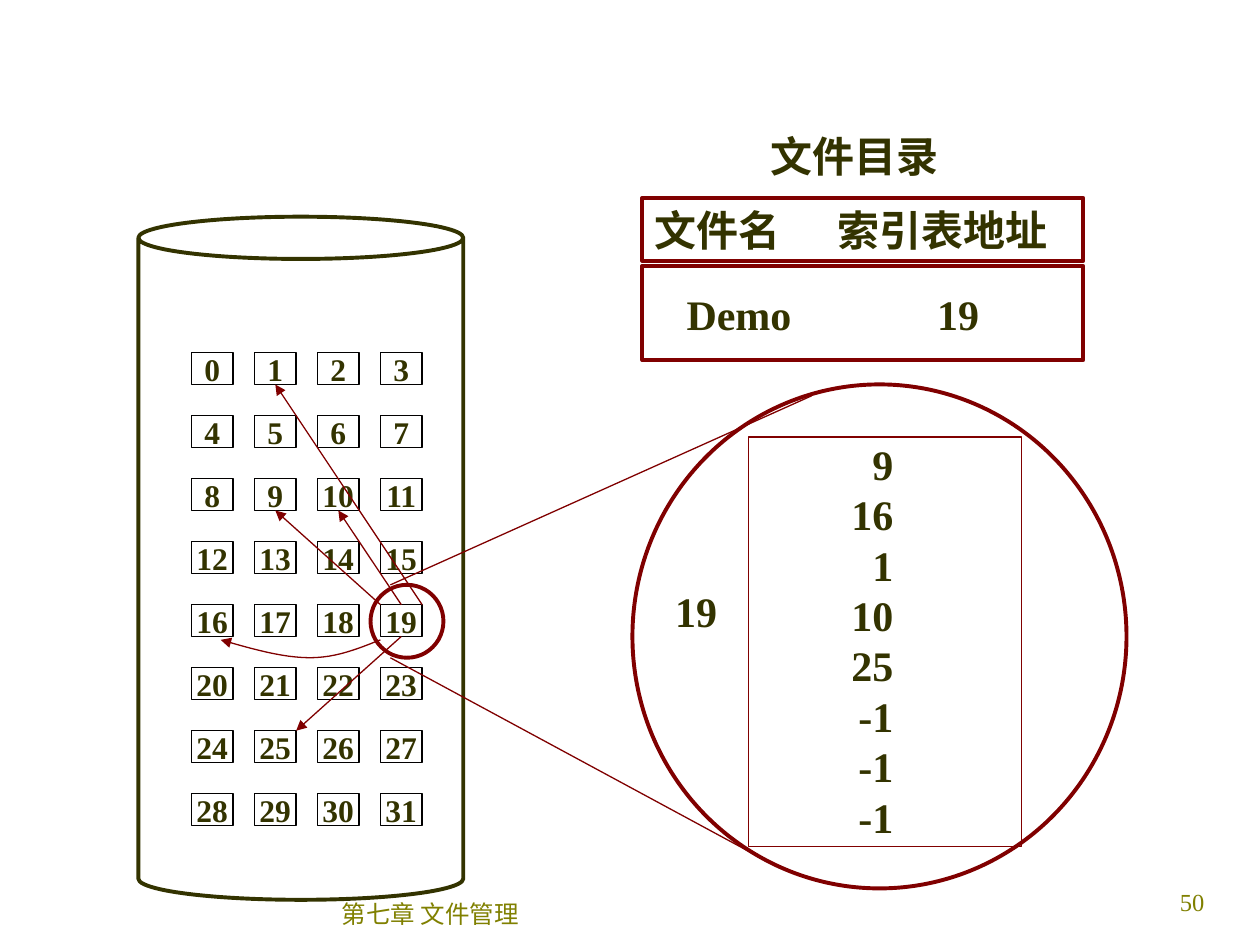
from pptx import Presentation
from pptx.dml.color import RGBColor
from pptx.enum.shapes import MSO_CONNECTOR, MSO_SHAPE
from pptx.enum.text import MSO_ANCHOR, PP_ALIGN
from pptx.oxml.ns import qn
from pptx.util import Cm, Pt
from lxml.etree import SubElement

DARK, RED, OLIVE, BLACK = "333300", "800000", "808000", "010000"
GRID_LEFT, GRID_TOP, GRID_STEP = 3.86, 7.11, 1.27
BLOCK_WIDTH, BLOCK_HEIGHT = 0.84, 0.64
COLUMNS, BLOCK_COUNT = 4, 32
INDEX_BLOCK = 19
INDEX_ENTRIES = ["9", "16", "1", "10", "25", "-1", "-1", "-1"]


def color(value):
    """Return the colour for a hex string."""
    return RGBColor.from_string(value)


def write_text(shape, text, size=24, bold=True, ink=DARK, font="Times New Roman",
               align=PP_ALIGN.LEFT, anchor=MSO_ANCHOR.TOP, wrap=True, tab=None, spacing=None):
    """Write one paragraph per line of text into a shape."""
    frame = shape.text_frame
    frame.word_wrap = wrap
    frame.vertical_anchor = anchor
    for number, line in enumerate(text.split("\n")):
        paragraph = frame.add_paragraph() if number else frame.paragraphs[0]
        paragraph.alignment = align
        if spacing:
            paragraph.line_spacing = Pt(spacing)
        if tab:
            stops = SubElement(paragraph._p.get_or_add_pPr(), qn("a:tabLst"))
            SubElement(stops, qn("a:tab"), pos=str(Cm(tab)), algn="l")
        run = paragraph.add_run()
        run.text = line
        run.font.size = Pt(size)
        run.font.bold = bold
        run.font.name = font
        run.font.color.rgb = color(ink)


def add_label(slide, box, text, **text_format):
    """Add a text box with formatted text."""
    shape = slide.shapes.add_textbox(*map(Cm, box))
    write_text(shape, text, **text_format)


def outline(shape, ink, width):
    """Leave a shape unfilled, with a plain outline."""
    shape.shadow.inherit = False
    shape.fill.background()
    shape.line.color.rgb = color(ink)
    shape.line.width = Pt(width)


def add_outline(slide, kind, box, ink=RED, width=2.25):
    """Add an unfilled preset shape."""
    shape = slide.shapes.add_shape(kind, *map(Cm, box))
    outline(shape, ink, width)
    return shape


def add_arrowhead(shape):
    """Put a triangle at the end of a line."""
    SubElement(shape.line._get_or_add_ln(), qn("a:tailEnd"), type="triangle")


def add_line(slide, start, end, arrow=False):
    """Add a thin red line, optionally with an arrowhead."""
    line = slide.shapes.add_connector(MSO_CONNECTOR.STRAIGHT, *map(Cm, (*start, *end)))
    line.line.color.rgb = color(RED)
    line.line.width = Pt(0.75)
    if arrow:
        add_arrowhead(line)
    SubElement(line._element.spPr, qn("a:effectLst"))


def bezier_points(controls, steps=12):
    """Return points along a cubic curve after its start."""
    points = []
    for step in range(1, steps + 1):
        t = step / steps
        weights = ((1 - t) ** 3, 3 * t * (1 - t) ** 2, 3 * t ** 2 * (1 - t), t ** 3)
        points.append(tuple(Cm(sum(w * c for w, c in zip(weights, axis)))
                            for axis in zip(*controls)))
    return points


def add_curved_arrow(slide, curves):
    """Add an open curve made of joined cubic pieces."""
    builder = slide.shapes.build_freeform(*map(Cm, curves[0][0]))
    for controls in curves:
        builder.add_line_segments(bezier_points(controls), close=False)
    shape = builder.convert_to_shape()
    outline(shape, RED, 0.75)
    add_arrowhead(shape)


def block_point(block, across=0, down=0):
    """Return a point of a disk block, given as fractions of its size."""
    row, column = divmod(block, COLUMNS)
    return (GRID_LEFT + column * GRID_STEP + across * BLOCK_WIDTH,
            GRID_TOP + row * GRID_STEP + down * BLOCK_HEIGHT)


def add_disk(slide):
    """Draw the disk with its numbered blocks."""
    for block in range(BLOCK_COUNT):
        box = (*block_point(block), BLOCK_WIDTH, BLOCK_HEIGHT)
        shape = add_outline(slide, MSO_SHAPE.RECTANGLE, box, BLACK, 0.75)
        write_text(shape, str(block), size=18, align=PP_ALIGN.CENTER,
                   anchor=MSO_ANCHOR.MIDDLE, wrap=False)
    disk = add_outline(slide, MSO_SHAPE.CAN, (2.79, 4.37, 6.55, 13.77), DARK)
    disk.adjustments[0] = 0.13


def add_directory(slide):
    """Draw the file directory."""
    header = add_outline(slide, MSO_SHAPE.RECTANGLE, (12.95, 3.99, 8.89, 1.27))
    write_text(header, "文件名\t索引表地址", tab=3.68)
    add_outline(slide, MSO_SHAPE.RECTANGLE, (12.95, 5.36, 8.89, 1.9))
    add_label(slide, (15.29, 2.51, 5, 1.27), "文件目录")
    add_label(slide, (13.59, 5.69, 7.42, 1.27), "Demo\t19", tab=5.05, spacing=28.8)


def add_block_arrows(slide):
    """Link the index block to the blocks of the file."""
    add_outline(slide, MSO_SHAPE.OVAL, (7.47, 11.79, 1.47, 1.47))
    links = [((1, 0), 1, (0.5, 1)), ((0.5, 0), 10, (0.5, 1)),
             ((0, 0), 9, (0.5, 1)), ((0.5, 1), 25, (1, 0))]
    for source, target, target_side in links:
        add_line(slide, block_point(INDEX_BLOCK, *source),
                 block_point(target, *target_side), arrow=True)
    add_curved_arrow(slide, [
        [(7.67, 12.9), (7.21, 13.08), (6.78, 13.26), (6.25, 13.26)],
        [(6.25, 13.26), (5.69, 13.26), (5.08, 13.08), (4.45, 12.9)],
    ])


def add_index_view(slide):
    """Draw the enlarged index block."""
    add_label(slide, (16.84, 8.71, 1.42, 8.38), "\n".join(INDEX_ENTRIES),
              align=PP_ALIGN.RIGHT, spacing=28.8)
    add_outline(slide, MSO_SHAPE.RECTANGLE, (15.09, 8.81, 5.51, 8.26), width=0.75)
    add_outline(slide, MSO_SHAPE.OVAL, (12.75, 7.75, 9.96, 10.16))
    add_label(slide, (13.36, 11.68, 1.35, 1.27), str(INDEX_BLOCK), wrap=False, spacing=28.8)
    add_line(slide, (7.87, 11.79), (16.36, 7.98))
    add_line(slide, (7.87, 13.26), (15.72, 17.5))


def add_footer(slide):
    """Add the chapter name and the page number."""
    add_label(slide, (4.65, 17.78, 8.05, 1.27), "第七章 文件管理", size=14, bold=False,
              ink=OLIVE, font="Arial", align=PP_ALIGN.CENTER, anchor=MSO_ANCHOR.MIDDLE)
    add_label(slide, (19.25, 17.75, 5.28, 1.27), "50", size=14, bold=False,
              ink=OLIVE, align=PP_ALIGN.RIGHT)


def main():
    """Build and save the slide."""
    presentation = Presentation()
    presentation.slide_width, presentation.slide_height = Cm(25.4), Cm(19.05)
    slide = presentation.slides.add_slide(presentation.slide_layouts[6])
    add_disk(slide)
    add_directory(slide)
    add_block_arrows(slide)
    add_index_view(slide)
    add_footer(slide)
    presentation.save("out.pptx")


if __name__ == "__main__":
    main()
